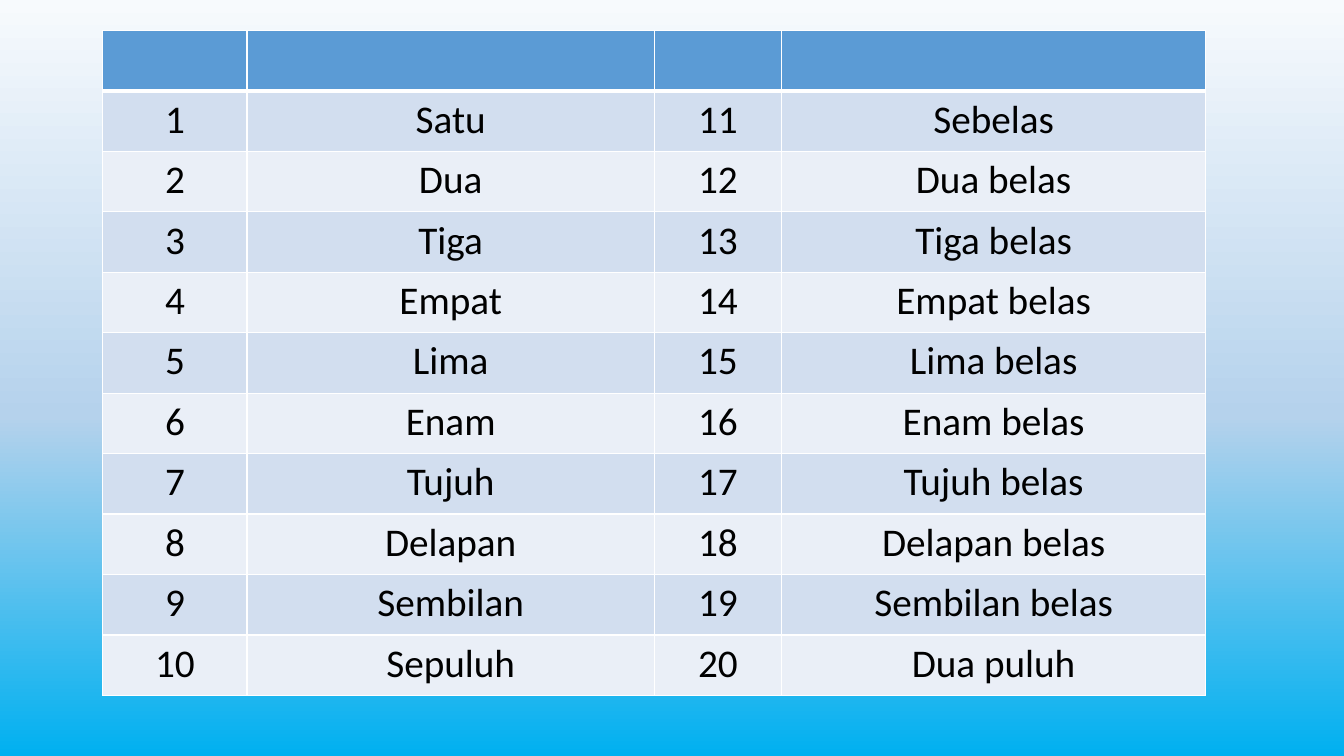
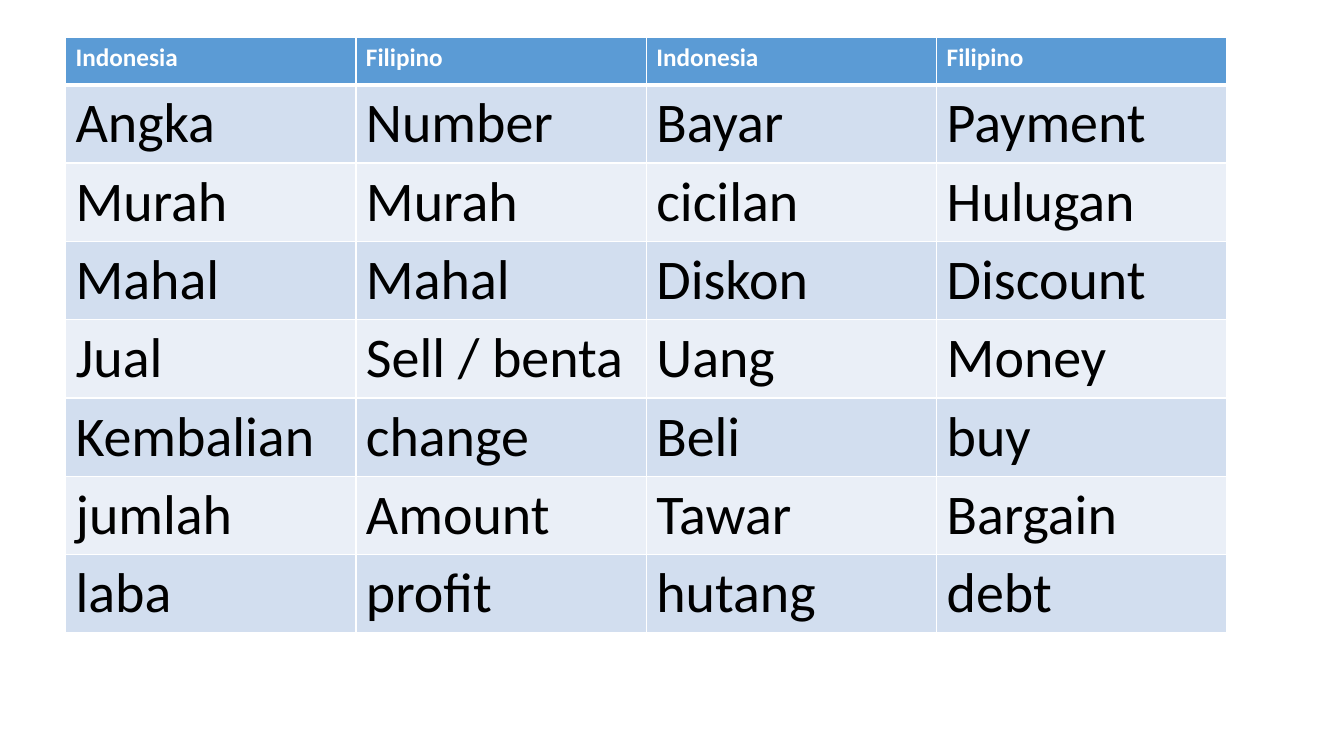
from copy import deepcopy

from pptx import Presentation
from pptx.dml.color import RGBColor
from pptx.enum.text import PP_ALIGN
from pptx.oxml import parse_xml
from pptx.oxml.ns import nsdecls, qn
from pptx.util import Inches, Pt

LEFT = PP_ALIGN.LEFT
CENTER = PP_ALIGN.CENTER

WHITE = RGBColor(0xFF, 0xFF, 0xFF)
BLACK = RGBColor(0x00, 0x00, 0x00)
HEADER_BLUE = RGBColor(0x5B, 0x9B, 0xD5)
BAND_DARK = RGBColor(0xD2, 0xDE, 0xEF)
BAND_LIGHT = RGBColor(0xEA, 0xEF, 0xF7)
SKY_PALE = RGBColor(0xF7, 0xFA, 0xFD)
SKY_MIDDLE = RGBColor(0xB5, 0xD2, 0xEC)
SKY_BRIGHT = RGBColor(0x00, 0xB0, 0xF0)

FONT = "Calibri"
BLANK_LAYOUT = 6
THIN, THICK = Pt(1), Pt(3)

UNITS = ["Satu", "Dua", "Tiga", "Empat", "Lima", "Enam", "Tujuh", "Delapan",
         "Sembilan", "Sepuluh"]
TEENS = ["Sebelas"] + [f"{unit} belas" for unit in UNITS[1:9]] + ["Dua puluh"]
NUMBER_ROWS = [
    (str(number), unit, str(number + 10), teen)
    for number, (unit, teen) in enumerate(zip(UNITS, TEENS), start=1)
]

VOCABULARY_HEADER = ("Indonesia", "Filipino") * 2
VOCABULARY_ROWS = [
    ("Angka", "Number", "Bayar", "Payment"),
    ("Murah", "Murah", "cicilan", "Hulugan"),
    ("Mahal", "Mahal", "Diskon", "Discount"),
    ("Jual", "Sell / benta", "Uang", "Money"),
    ("Kembalian", "change", "Beli", "buy"),
    ("jumlah", "Amount", "Tawar", "Bargain"),
    ("laba", "profit", "hutang", "debt"),
]


def write_text(text_frame, text, size=18, color=BLACK, bold=False, alignment=LEFT):
    paragraph = text_frame.paragraphs[0]
    paragraph.alignment = alignment
    run = paragraph.add_run()
    run.text = text
    run.font.name = FONT
    run.font.size = Pt(size)
    run.font.bold = bold
    run.font.color.rgb = color


class Deck:
    def __init__(self):
        self.presentation = Presentation()
        self.presentation.slide_width = Inches(13.33)
        self.presentation.slide_height = Inches(7.5)
        self.slide = None

    def add_slide(self):
        layout = self.presentation.slide_layouts[BLANK_LAYOUT]
        self.slide = self.presentation.slides.add_slide(layout)

    def gradient_background(self, stops):
        fill = self.slide.background.fill
        fill.gradient()
        fill.gradient_angle = 270
        stop_list = next(self.slide.element.iter(qn("a:gsLst")))
        while len(stop_list) < len(stops):
            stop_list.append(deepcopy(stop_list[-1]))
        for stop, (position, color) in zip(fill.gradient_stops, stops):
            stop.position = position
            stop.color.rgb = color

    def border_cell(self, cell, top, bottom):
        properties = cell._tc.get_or_add_tcPr()
        for side, width in (("L", THIN), ("R", THIN), ("T", top), ("B", bottom)):
            properties.append(parse_xml(
                f'<a:ln{side} {nsdecls("a")} w="{width}"><a:solidFill>'
                f'<a:srgbClr val="{WHITE}"/></a:solidFill></a:ln{side}>'
            ))

    def add_table(self, left, top, widths, header, rows, header_height, row_height,
                  size, alignment=LEFT):
        heights = [header_height] + [row_height] * len(rows)
        table = self.slide.shapes.add_table(
            len(heights), len(widths), Inches(left), Inches(top),
            Inches(sum(widths)), Inches(sum(heights)),
        ).table
        for column, width in zip(table.columns, widths):
            column.width = Inches(width)
        for row, height in zip(table.rows, heights):
            row.height = Inches(height)
        for row_index, values in enumerate([header, *rows]):
            is_header = row_index == 0
            band = BAND_DARK if row_index % 2 else BAND_LIGHT
            for column_index, value in enumerate(values):
                cell = table.cell(row_index, column_index)
                self.border_cell(cell, THICK if row_index == 1 else THIN,
                                 THICK if is_header else THIN)
                cell.fill.solid()
                cell.fill.fore_color.rgb = HEADER_BLUE if is_header else band
                if is_header and value:
                    write_text(cell.text_frame, value, color=WHITE, bold=True)
                elif value:
                    write_text(cell.text_frame, value, size=size, alignment=alignment)


def main():
    deck = Deck()

    deck.add_slide()
    deck.gradient_background([(0, SKY_PALE), (0.55, SKY_MIDDLE), (1, SKY_BRIGHT)])
    deck.add_table(1.02, 0.3, [1.43, 4.04, 1.26, 4.21], [""] * 4, NUMBER_ROWS,
                   header_height=0.6, row_height=0.6, size=28, alignment=CENTER)

    deck.add_slide()
    deck.add_table(0.65, 0.37, [2.88] * 4, VOCABULARY_HEADER, VOCABULARY_ROWS,
                   header_height=0.47, row_height=0.77, size=40)

    deck.presentation.save("out.pptx")


if __name__ == "__main__":
    main()
